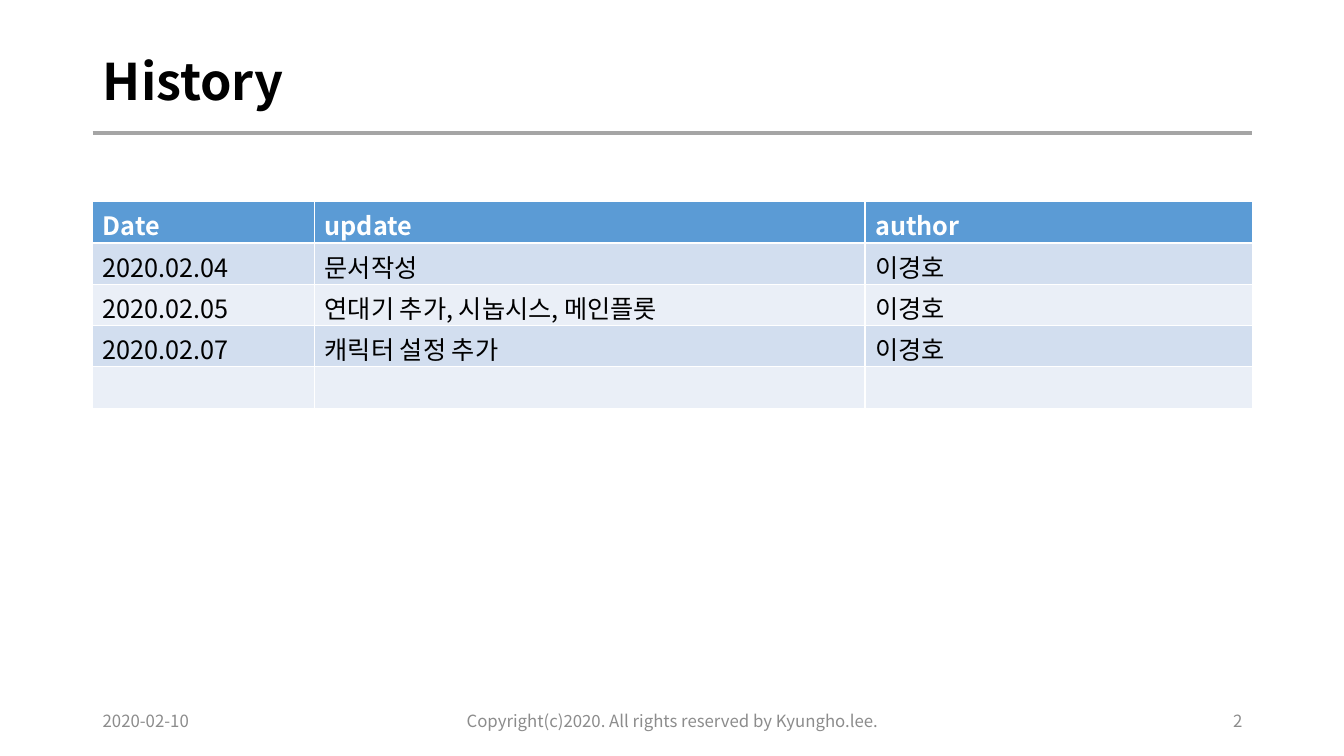
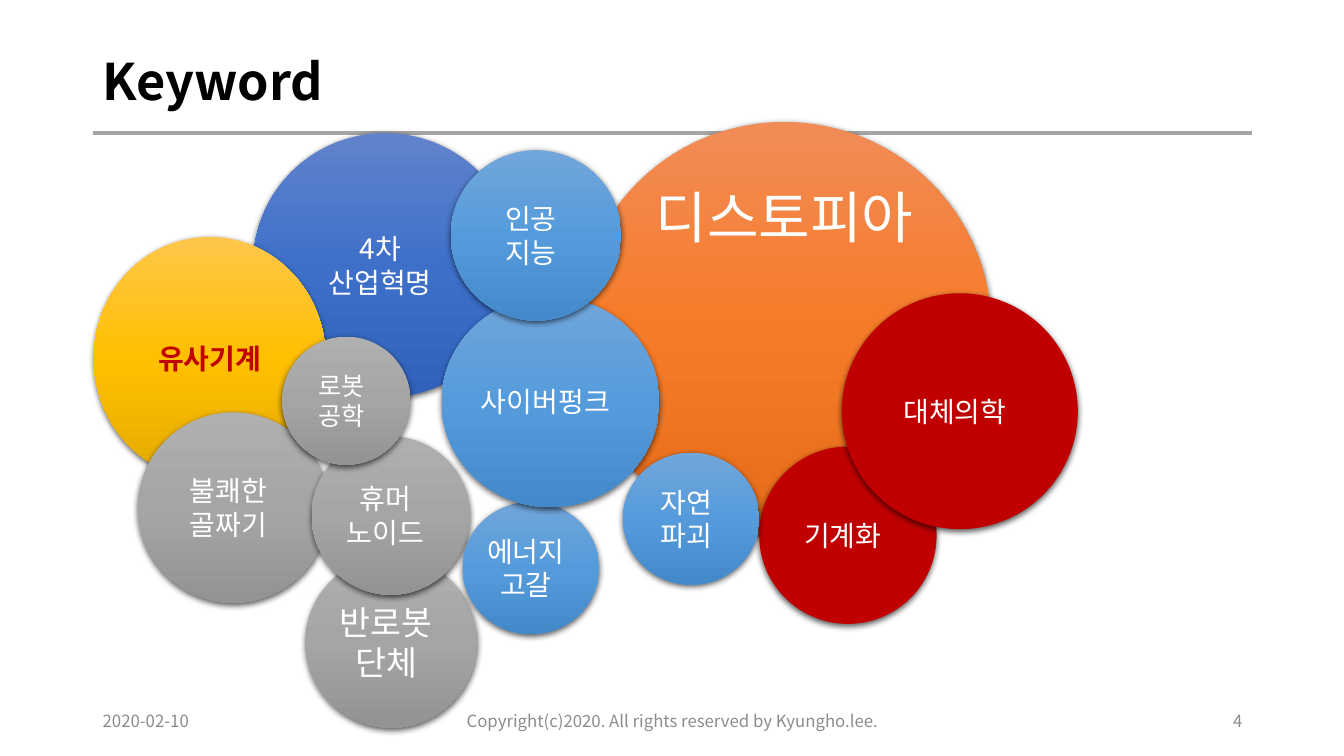
import copy

import pptx
import pptx.dml.color
import pptx.enum.shapes
import pptx.enum.text
import pptx.oxml
import pptx.oxml.ns
import pptx.util

PX = 9144
FONT = "Noto Sans CJK KR"
WHITE, BLACK, RED, RULE_GRAY, FOOTER_GRAY = "FFFFFF", "000000", "C00000", "A5A5A5", "8C8C8C"
ORANGE = ["F18C57", "F67B28", "E56C19"]
NAVY = ["6183CB", "3E70CA", "3062BB"]
YELLOW = ["FFC64B", "FFC000", "E3AB00"]
GRAY = ["AFAFAF", "A5A5A5", "939393"]
BLUE = ["71A6DB", "559BDB", "448ACA"]

ALIGN = pptx.enum.text.PP_ALIGN
ANCHOR = pptx.enum.text.MSO_ANCHOR
qn = pptx.oxml.ns.qn
rgb = pptx.dml.color.RGBColor.from_string


def write(frame, text, size, color, align=ALIGN.LEFT, bold=False, anchor=ANCHOR.MIDDLE):
    frame.text = text
    frame.word_wrap = True
    frame.vertical_anchor = anchor
    for paragraph in frame.paragraphs:
        paragraph.alignment = align
        font = paragraph.font
        font.name, font.size, font.bold = FONT, pptx.util.Pt(size), bold
        font.color.rgb = rgb(color)
        east_asian = pptx.oxml.parse_xml(
            f'<a:ea {pptx.oxml.ns.nsdecls("a")} typeface="{FONT}"/>')
        paragraph._p.pPr.find(qn("a:defRPr")).find(qn("a:latin")).addnext(east_asian)


def emu(*lengths):
    return [pptx.util.Emu(length * PX) for length in lengths]


deck = pptx.Presentation()
deck.slide_width, deck.slide_height = emu(1333, 750)

slides = []
for heading, number in [("History", "2"), ("Keyword", "4")]:
    slide = deck.slides.add_slide(deck.slide_layouts[5])
    slides.append(slide)

    rule = slide.shapes.add_connector(
        pptx.enum.shapes.MSO_CONNECTOR.STRAIGHT, *emu(92, 132, 1242, 132))
    rule.line.color.rgb = rgb(RULE_GRAY)
    rule.line.width = pptx.util.Pt(2.25)
    rule._element.spPr.append(
        pptx.oxml.parse_xml(f'<a:effectLst {pptx.oxml.ns.nsdecls("a")}/>'))

    title = slide.shapes.title
    title.left, title.top, title.width, title.height = emu(92, 40, 1150, 87)
    write(title.text_frame, heading, 36, BLACK, bold=True)
    title.text_frame.auto_size = pptx.enum.text.MSO_AUTO_SIZE.NONE
    title.text_frame.paragraphs[0].line_spacing = 0.9

    for left, width, text, align in [
        (92, 300, "2020-02-10", ALIGN.LEFT),
        (442, 450, "Copyright(c)2020. All rights reserved by Kyungho.lee.", ALIGN.CENTER),
        (942, 300, number, ALIGN.RIGHT),
    ]:
        footer = slide.shapes.add_textbox(*emu(left, 695, width, 40))
        write(footer.text_frame, text, 12, FOOTER_GRAY, align)

history, keywords = slides

updates = [
    ("Date", "update", "author"),
    ("2020.02.04", "문서작성", "이경호"),
    ("2020.02.05", "연대기 추가, 시놉시스, 메인플롯", "이경호"),
    ("2020.02.07", "캐릭터 설정 추가", "이경호"),
    ("", "", ""),
]
log = history.shapes.add_table(len(updates), 3, *emu(92, 200, 1150, 205)).table
for column, width in zip(log.columns, emu(220, 546, 384)):
    column.width = width
for row, entry in enumerate(updates):
    header = row == 0
    band = "5B9BD5" if header else ["EAEFF7", "D2DEEF"][row % 2]
    for column, text in enumerate(entry):
        cell = log.cell(row, column)
        cell.fill.solid()
        cell.fill.fore_color.rgb = rgb(band)
        write(cell.text_frame, text, 18, WHITE if header else BLACK, bold=header)
        cell.vertical_anchor = ANCHOR.TOP

bubbles = [
    (573, 121, 410, 410, ORANGE, "디스토피아", 40),
    (251, 132, 262, 262, NAVY, "4차\n산업혁명", 20),
    (93, 235, 230, 241, YELLOW, "유사기계", 20),
    (137, 409, 189, 189, GRAY, "불쾌한\n골짜기", 20),
    (303, 552, 170, 170, GRAY, "반로봇단체", 24),
    (309, 433, 157, 157, GRAY, "휴머\n노이드", 20),
    (459, 498, 135, 131, BLUE, "에너지\n고갈", 20),
    (753, 443, 176, 176, RED, "기계화", 20),
    (280, 334, 127, 127, GRAY, "로봇\n공학", 18),
    (618, 449, 135, 131, BLUE, "자연\n파괴", 20),
    (835, 291, 234, 234, RED, "대체의학", 20),
    (438, 294, 216, 209, BLUE, "사이버펑크", 20),
    (447, 149, 169, 169, BLUE, "인공\n지능", 20),
]
for left, top, width, height, color, keyword, size in bubbles:
    bubble = keywords.shapes.add_shape(
        pptx.enum.shapes.MSO_SHAPE.OVAL, *emu(left, top, width, height))
    if color == RED:
        bubble.fill.solid()
        bubble.fill.fore_color.rgb = rgb(RED)
    else:
        bubble.fill.gradient()
        bubble.fill.gradient_angle = 270
        stops = bubble._element.spPr.find(".//" + qn("a:gsLst"))
        stops.insert(1, copy.deepcopy(stops[0]))
        for stop, position, shade in zip(bubble.fill.gradient_stops, (0, 0.5, 1), color):
            stop.position = position
            stop.color.rgb = rgb(shade)
    bubble.line.fill.background()
    bubble.shadow.inherit = False
    bubble._element.spPr.find(qn("a:effectLst")).append(pptx.oxml.parse_xml(
        f'<a:outerShdw {pptx.oxml.ns.nsdecls("a")} blurRad="57150" dist="19050" dir="5400000"'
        ' algn="ctr" rotWithShape="0"><a:srgbClr val="000000"><a:alpha val="63000"/>'
        '</a:srgbClr></a:outerShdw>'))

    frame = bubble.text_frame
    accented, largest = color == YELLOW, color == ORANGE
    write(frame, keyword, size, RED if accented else WHITE, ALIGN.CENTER, accented,
          ANCHOR.TOP if largest else ANCHOR.MIDDLE)
    if not accented:
        frame.margin_left, frame.margin_top, frame.margin_right, frame.margin_bottom = emu(
            0, 0, 0 if largest else 10, 0)

deck.save("out.pptx")
